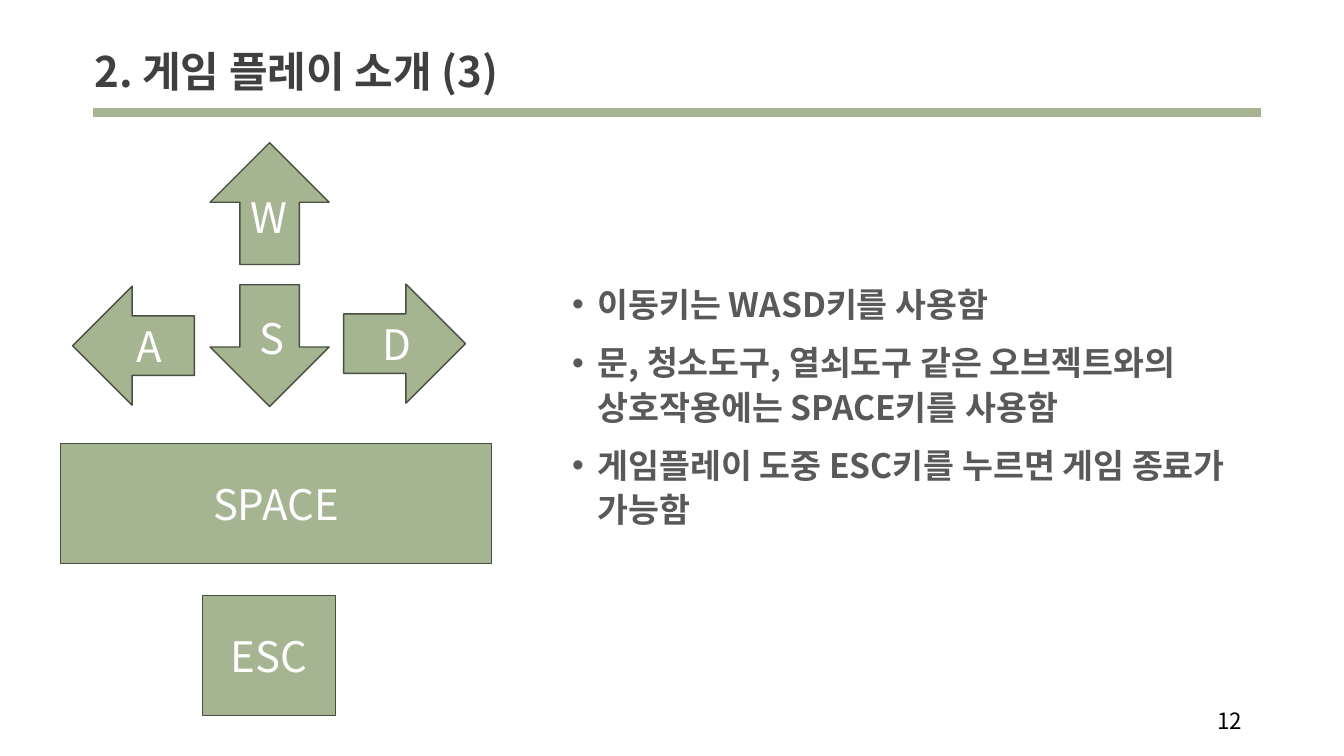
from dataclasses import dataclass

from lxml.etree import SubElement
from pptx import Presentation
from pptx.dml.color import RGBColor as RGB
from pptx.enum.shapes import MSO_CONNECTOR as CONN, MSO_SHAPE as SHAPE
from pptx.enum.text import MSO_ANCHOR as ANCHOR, PP_ALIGN as ALIGN
from pptx.oxml.ns import qn
from pptx.util import Cm, Pt


@dataclass(frozen=True)
class Theme:
    font: str = "Noto Sans CJK KR"
    green: RGB = RGB(0xA5, 0xB5, 0x92)
    outline: RGB = RGB(0x48, 0x4F, 0x40)
    title: RGB = RGB(0x40, 0x40, 0x40)
    body: RGB = RGB(0x59, 0x59, 0x59)
    white: RGB = RGB(0xFF, 0xFF, 0xFF)
    black: RGB = RGB(0, 0, 0)
    large: int = 30
    medium: int = 24
    small: int = 16


THEME = Theme()
ARROW_SIZE = (3.07, 3)
LETTER_SIZE = (1.63, 1.55)
ARROW_KEYS = [
    ("W", (5.26, 3.63), 270, (6.07, 4.7)),
    ("S", (5.26, 7.21), 90, (6.3, 7.75)),
    ("D", (8.66, 7.16), 0, (9.4, 7.9)),
    ("A", (1.83, 7.21), 180, (3.18, 7.95)),
]
BOX_KEYS = [
    ("SPACE", (1.52, 11.18, 10.87, 3.02)),
    ("ESC", (5.11, 15.01, 3.35, 3.02)),
]
GUIDE = [
    "이동키는 WASD키를 사용함",
    "문, 청소도구, 열쇠도구 같은 오브젝트와의 상호작용에는 SPACE키를 사용함",
    "게임플레이 도중 ESC키를 누르면 게임 종료가 가능함",
]


def add_run(p, text, size, color, bold=False):
    r = p.add_run()
    r.text = text
    r.font.size = Pt(size)
    r.font.bold = bold
    r.font.color.rgb = color
    r.font.name = THEME.font
    SubElement(r.font._element, qn("a:ea"), typeface=THEME.font)


def add_text_frame(slide, box):
    tf = slide.shapes.add_textbox(*map(Cm, box)).text_frame
    tf.word_wrap = True
    return tf


def add_label(slide, box, text, size, color, bold=False):
    tf = add_text_frame(slide, box)
    add_run(tf.paragraphs[0], text, size, color, bold)
    return tf


def add_key_shape(slide, kind, box):
    sp = slide.shapes.add_shape(kind, *map(Cm, box))
    sp.shadow.inherit = False
    sp.fill.solid()
    sp.fill.fore_color.rgb = THEME.green
    sp.line.color.rgb = THEME.outline
    sp.line.width = Pt(1)
    return sp


def add_arrow_key(slide, letter, place, rotation, letter_place):
    sp = add_key_shape(slide, SHAPE.RIGHT_ARROW, place + ARROW_SIZE)
    sp.rotation = rotation
    add_label(slide, letter_place + LETTER_SIZE, letter, THEME.large, THEME.white)


def add_box_key(slide, name, box):
    tf = add_key_shape(slide, SHAPE.RECTANGLE, box).text_frame
    tf.vertical_anchor = ANCHOR.MIDDLE
    p = tf.paragraphs[0]
    p.alignment = ALIGN.CENTER
    add_run(p, name, THEME.large, THEME.white)


def add_rule(slide, left, right, y):
    line = slide.shapes.add_connector(CONN.STRAIGHT, Cm(left), Cm(y), Cm(right), Cm(y))
    line.line.color.rgb = THEME.green
    line.line.width = Pt(6)
    SubElement(line._element.spPr, qn("a:effectLst"))


def add_bullets(slide, box, items):
    tf = add_text_frame(slide, box)
    for i, item in enumerate(items):
        p = tf.add_paragraph() if i else tf.paragraphs[0]
        p.line_spacing = 1.1
        p.space_before = Pt(10)
        pPr = p._p.get_or_add_pPr()
        pPr.set("marL", str(Cm(0.64)))
        pPr.set("indent", str(Cm(-0.64)))
        SubElement(pPr, qn("a:buFont"), typeface="Arial")
        SubElement(pPr, qn("a:buChar"), char="•")
        add_run(p, item, THEME.medium, THEME.body, True)


def add_page_number(slide, box, number):
    tf = add_label(slide, box, number, THEME.small, THEME.black)
    tf.vertical_anchor = ANCHOR.MIDDLE
    tf.paragraphs[0].alignment = ALIGN.RIGHT


def main():
    prs = Presentation()
    prs.slide_width, prs.slide_height = Cm(33.87), Cm(19.05)
    slide = prs.slides.add_slide(prs.slide_layouts[6])
    add_page_number(slide, (23.93, 17.65, 7.62, 1.02), "12")
    add_rule(slide, 2.34, 31.78, 2.84)
    add_bullets(slide, (14.17, 6.93, 17.48, 9.68), GUIDE)
    add_label(slide, (2.13, 1.02, 29.21, 3.68), "2. 게임 플레이 소개 (3)",
              THEME.large, THEME.title, True)
    for key in ARROW_KEYS:
        add_arrow_key(slide, *key)
    for key in BOX_KEYS:
        add_box_key(slide, *key)
    prs.save("out.pptx")


if __name__ == "__main__":
    main()
